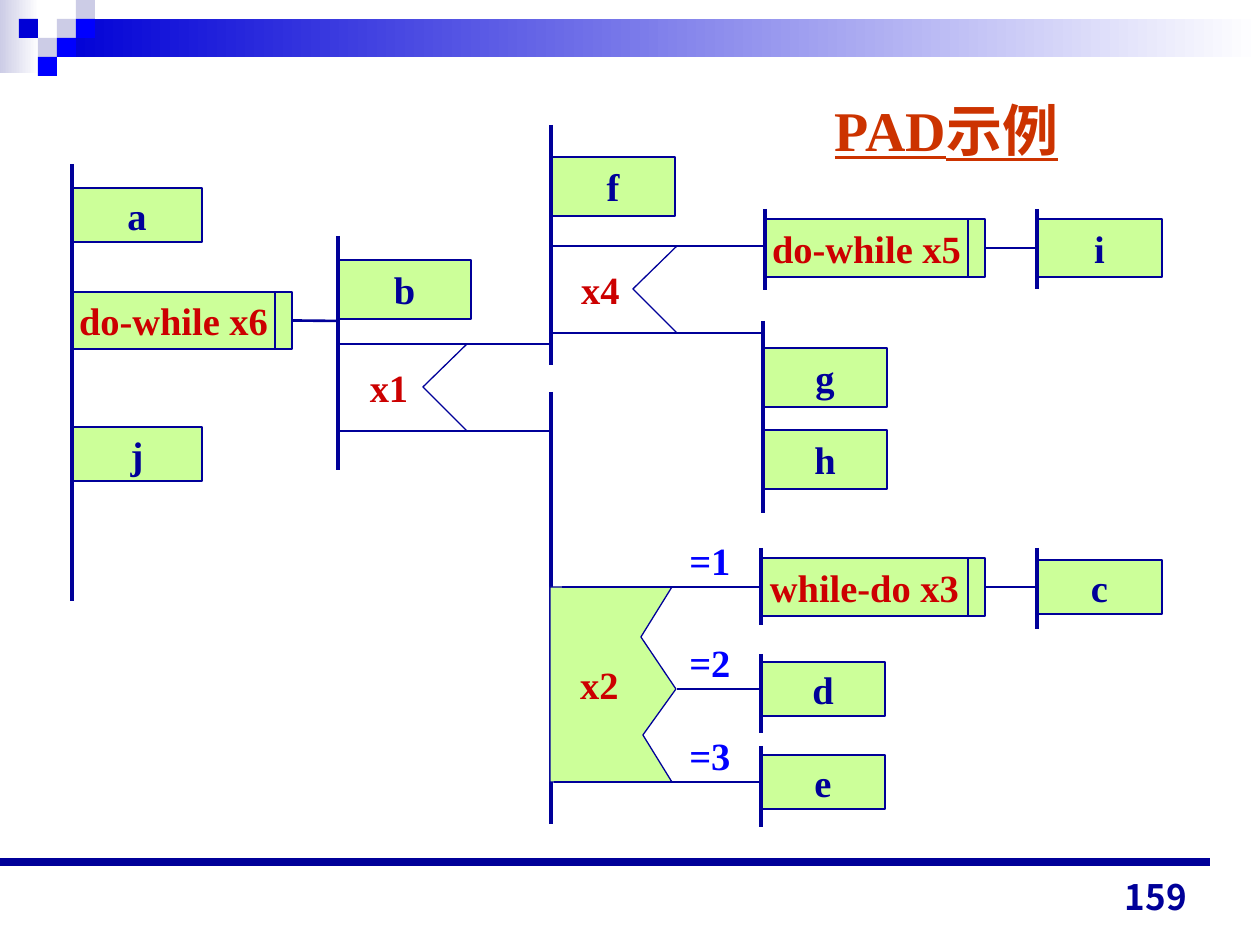
from lxml.etree import SubElement
from pptx import Presentation
from pptx.dml.color import RGBColor
from pptx.enum.shapes import MSO_CONNECTOR, MSO_SHAPE
from pptx.enum.text import MSO_ANCHOR, MSO_AUTO_SIZE, PP_ALIGN
from pptx.oxml.ns import qn
from pptx.util import Emu, Pt

PX = 914400 / 126
NAVY, GREEN, RED, BLUE, WHITE = "000099", "CCFF99", "CC0000", "0000FF", "FFFFFF"
LAVENDER, ROYAL = "CCCCE6", "0000D6"
SERIF, SANS = "Times New Roman", "Noto Sans CJK JP"
BAR_GAP = 17  # distance of a loop's inner bar from its right side


def px(n):
    return Emu(round(n * PX))


def rgb(value):
    return RGBColor.from_string(value)


def paint(sp, fill, line=None):
    sp.shadow.inherit = False
    sp.fill.solid()
    sp.fill.fore_color.rgb = rgb(fill)
    if line:
        sp.line.color.rgb = rgb(line)
        sp.line.width = Pt(0.75)
    else:
        sp.line.fill.background()


def add_rect(slide, x, y, w, h, fill, line=None):
    sp = slide.shapes.add_shape(MSO_SHAPE.RECTANGLE, px(x), px(y), px(w), px(h))
    paint(sp, fill, line)
    return sp


def add_line(slide, x1, y1, x2, y2, width):
    c = slide.shapes.add_connector(
        MSO_CONNECTOR.STRAIGHT, px(x1), px(y1), px(x2), px(y2))
    c.line.color.rgb = rgb(NAVY)
    c.line.width = Pt(width)
    SubElement(c._element.spPr, qn("a:effectLst"))
    return c


def write(sp, text, color, size=22, font=SERIF, align=PP_ALIGN.CENTER,
          anchor=MSO_ANCHOR.MIDDLE, inset=0, right=0):
    tf = sp.text_frame
    tf.auto_size = MSO_AUTO_SIZE.NONE
    tf.word_wrap = False
    tf.vertical_anchor = anchor
    tf.margin_left = tf.margin_top = tf.margin_bottom = px(inset)
    tf.margin_right = px(right)
    p = tf.paragraphs[0]
    p.text = text
    p.alignment = align
    p.font.name, p.font.size, p.font.bold = font, Pt(size), True
    p.font.color.rgb = rgb(color)
    return p


def add_label(slide, x, y, w, h, text, color, **style):
    write(slide.shapes.add_textbox(px(x), px(y), px(w), px(h)), text, color, **style)


def add_banner(slide):
    """Fading bars and the chequered corner at the top."""
    for box, color in (((0, 0, 39, 73), LAVENDER), ((57, 19, 1203, 38), ROYAL)):
        sp = add_rect(slide, *box, WHITE)
        sp.fill.gradient()
        sp.fill.gradient_angle = 0
        for stop, value in zip(sp.fill.gradient_stops, (color, WHITE)):
            stop.color.rgb = rgb(value)
    cell = 19
    for col, row, color in ((3, 1, LAVENDER), (4, 0, LAVENDER), (4, 1, BLUE),
                            (2, 2, LAVENDER), (1, 1, ROYAL), (3, 2, BLUE), (2, 3, BLUE)):
        add_rect(slide, col * cell, row * cell, cell, cell, color)


def add_title(slide, x, y, w, h, text):
    sp = slide.shapes.title
    sp.left, sp.top, sp.width, sp.height = px(x), px(y), px(w), px(h)
    p = write(sp, text, "CC3300", size=32, align=PP_ALIGN.LEFT,
              anchor=MSO_ANCHOR.TOP, inset=6)
    sp.text_frame.margin_left = px(13)
    p.font.underline = True


def add_footer(slide, number):
    add_line(slide, 0, 862, 1210, 862, 4.5)
    add_label(slide, 906, 861, 294, 63, number, NAVY, size=20, font=SANS,
              align=PP_ALIGN.RIGHT, anchor=MSO_ANCHOR.BOTTOM, inset=6, right=13)


def add_fork(slide, x, y, h, edge, text, fill):
    """Selection block; edge lists its notched right side, relative to x, y."""
    fb = slide.shapes.build_freeform(x, y, scale=PX)
    fb.add_line_segments([(x + dx, y + dy) for dx, dy in edge] + [(x, y + h)])
    sp = fb.convert_to_shape()
    paint(sp, fill, NAVY)
    write(sp, text, RED, right=27)


def add_sequence(slide, x, top, bottom, steps):
    """Vertical spine with its steps; a bar weight above 0 makes a step a loop."""
    boxes = {}
    for text, y, w, h, bar in steps:
        sp = boxes[text] = add_rect(slide, x, y, w, h, GREEN, NAVY)
        write(sp, text, RED if bar else NAVY, right=BAR_GAP if bar else 0)
        if bar:
            bar_x = x + w - BAR_GAP
            add_line(slide, bar_x, y, bar_x, y + h, bar)
    add_line(slide, x, top, x, bottom, 2)
    return boxes


def add_diagram(slide):
    # Selections
    add_fork(slide, 338, 344, 87, [(129, 0), (85, 43), (129, 87)], "x1", WHITE)
    add_fork(slide, 551, 246, 87, [(126, 0), (82, 43), (126, 87)], "x4", WHITE)

    # Sequences: x, top, bottom, steps as (text, y, width, height, bar weight)
    boxes = {}
    for sequence in (
        (72, 164, 601, [("a", 188, 130, 54, 0), ("do-while x6", 292, 220, 57, 1.5),
                        ("j", 427, 130, 54, 0)]),
        (338, 236, 470, [("b", 260, 133, 59, 0)]),
        (551, 125, 365, [("f", 157, 124, 59, 0)]),
        (551, 392, 824, []),
        (765, 209, 290, [("do-while x5", 219, 220, 58, 1.5)]),
        (763, 321, 513, [("g", 348, 124, 59, 0), ("h", 430, 124, 59, 0)]),
        (1037, 209, 289, [("i", 219, 125, 58, 0)]),
        (761, 548, 625, [("while-do x3", 558, 224, 58, 0.75)]),
        (1037, 548, 629, [("c", 560, 125, 54, 0)]),
        (761, 654, 733, [("d", 662, 124, 54, 0)]),
        (761, 746, 827, [("e", 755, 124, 54, 0)]),
    ):
        boxes.update(add_sequence(slide, *sequence))
    add_fork(slide, 550, 587, 195,
             [(122, 0), (91, 50), (126, 102), (93, 148), (122, 195)], "x2", GREEN)

    # Branches of x1 and x4
    for x1, x2, y, width in ((338, 551, 344, 0.75), (338, 551, 431, 0.75),
                             (551, 765, 246, 1.5), (551, 763, 333, 1.5)):
        add_line(slide, x1, y, x2, y, width)

    # Branches of x2
    for case, (x, y, target) in enumerate(
            ((562, 587, "while-do x3"), (677, 689, "d"), (554, 782, "e")), 1):
        add_line(slide, x, y, 761, y, 1.5).end_connect(boxes[target], 1)
        add_label(slide, 677, y - 56, 66, 59, f"={case}", BLUE)

    # Loops to their bodies
    add_line(slide, 292, 321, 338, 321, 1.5).begin_connect(boxes["do-while x6"], 3)
    for loop, body in (("do-while x5", "i"), ("while-do x3", "c")):
        c = add_line(slide, 985, 0, 1037, 0, 1.5)
        c.begin_connect(boxes[loop], 3)
        c.end_connect(boxes[body], 1)


def main():
    prs = Presentation()
    prs.slide_width, prs.slide_height = px(1260), px(945)
    slide = prs.slides.add_slide(prs.slide_layouts[5])
    add_banner(slide)
    add_title(slide, 822, 89, 315, 81, "PAD示例")
    add_diagram(slide)
    add_footer(slide, "159")
    prs.save("out.pptx")


if __name__ == "__main__":
    main()
